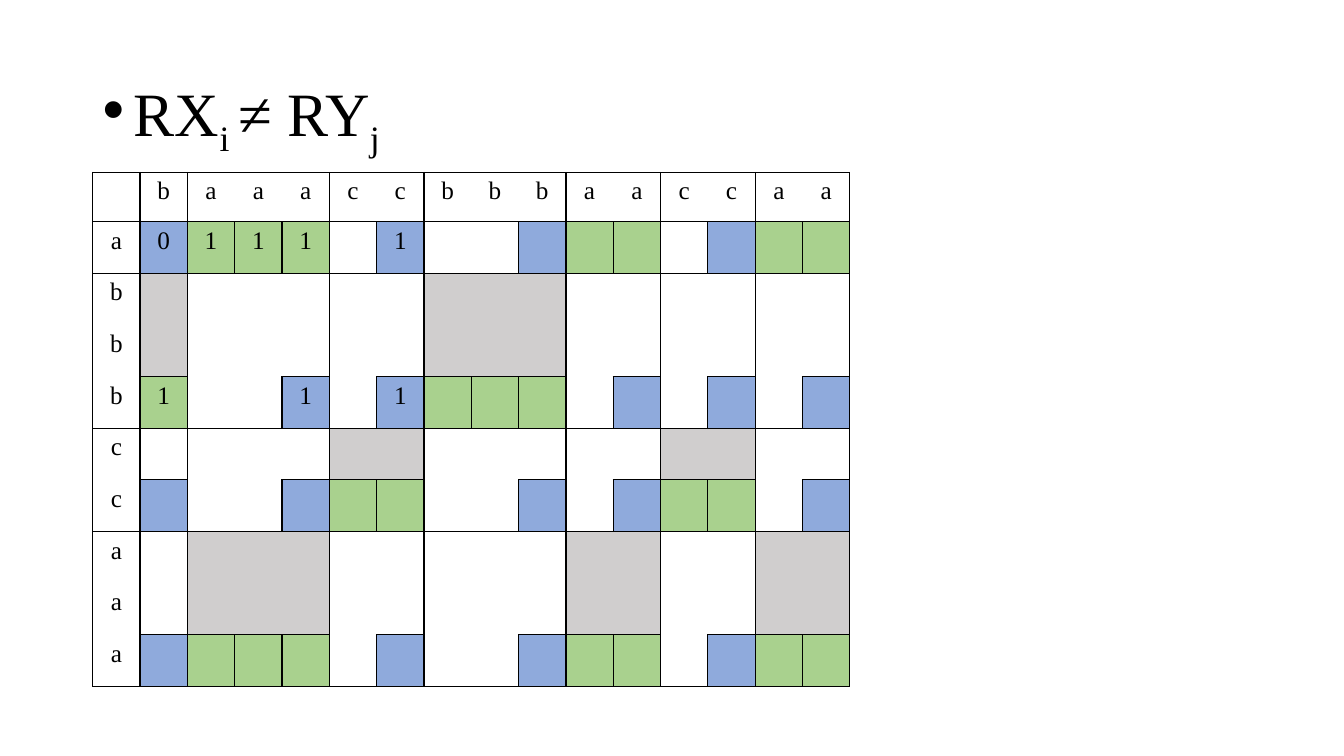
from itertools import groupby

from lxml import etree
from pptx import Presentation
from pptx.dml.color import RGBColor
from pptx.enum.text import MSO_ANCHOR, PP_ALIGN
from pptx.oxml.ns import qn
from pptx.util import Inches, Pt

MIDDLE = MSO_ANCHOR.MIDDLE
LEFT, CENTER = PP_ALIGN.LEFT, PP_ALIGN.CENTER
FONT = "Times New Roman"
COLORS = {"ink": "000000", "match": "A9D18E", "end": "8FAADC", "skip": "D0CECE"}

# The two strings, and the values known so far by (row, column)
TOP, SIDE = "baaaccbbbaaccaa", "abbbccaaa"
VALUES = {(1, 1): "0", (1, 2): "1", (1, 3): "1", (1, 4): "1", (1, 6): "1",
          (4, 1): "1", (4, 4): "1", (4, 6): "1"}


def color(name):
    return RGBColor.from_string(COLORS[name])


def write(para, text, size=18, ink="ink", align=LEFT, base=0):
    """Add one run of text to a paragraph."""
    para.alignment = align
    run = para.add_run()
    run.text = text
    run.font.name = FONT
    run.font.size = Pt(size)
    run.font.color.rgb = color(ink)
    if base:
        run._r.get_or_add_rPr().set("baseline", str(base * 1000))


def runs(text):
    """Number the run of each letter; the header counts as run 0."""
    ids = [0]
    for num, (_, group) in enumerate(groupby(text), 1):
        ids += [num for _ in group]
    return ids


class Grid:
    """Block structure of the table: fills and lines follow from the runs."""

    def __init__(self, top, side):
        self.top, self.side = top, side
        self.cols, self.rows = runs(top), runs(side)

    def kind(self, row, col):
        if not row or not col:
            return None
        low = self.rows[row] not in self.rows[row + 1:]
        last = self.cols[col] not in self.cols[col + 1:]
        if self.side[row - 1] == self.top[col - 1]:
            return "match" if low else "skip"
        return "end" if low and last else None

    def text(self, row, col):
        if row and col:
            return VALUES.get((row, col), "")
        return self.side[row - 1] if row else self.top[col - 1] if col else ""

    def lined(self, row, col, down, right):
        """Tell whether a line parts a cell from its neighbour."""
        r, c = row + down, col + right
        if not (0 <= r < len(self.rows) and 0 <= c < len(self.cols)):
            return True
        if self.rows[r] != self.rows[row] or self.cols[c] != self.cols[col]:
            return True
        return any(self.kind(*spot) in ("match", "end")
                   for spot in ((row, col), (r, c)))


class Deck:
    SIDES = {"a:lnL": (0, -1), "a:lnR": (0, 1), "a:lnT": (-1, 0), "a:lnB": (1, 0)}

    def __init__(self):
        self.prs = Presentation()
        self.prs.slide_width, self.prs.slide_height = Inches(13.33), Inches(7.5)
        self.slide = self.prs.slides.add_slide(self.prs.slide_layouts[6])

    def title(self, parts, left, top, width, height):
        box = self.slide.shapes.add_textbox(
            Inches(left), Inches(top), Inches(width), Inches(height))
        frame = box.text_frame
        frame.word_wrap = True
        frame.vertical_anchor = MIDDLE
        para = frame.paragraphs[0]
        para.line_spacing = 0.9
        props = para._p.get_or_add_pPr()
        props.set("marL", str(Inches(0.31)))
        props.set("indent", str(-Inches(0.31)))
        etree.SubElement(props, qn("a:buFont")).set("typeface", "Arial")
        etree.SubElement(props, qn("a:buChar")).set("char", "•")
        for text, base in parts:
            write(para, text, size=44, base=base)

    def border(self, cell, tag, shown):
        line = etree.SubElement(cell._tc.get_or_add_tcPr(), qn(tag))
        line.set("w", str(Pt(1)))
        if shown:
            fill = etree.SubElement(line, qn("a:solidFill"))
            etree.SubElement(fill, qn("a:srgbClr")).set("val", COLORS["ink"])
        else:
            etree.SubElement(line, qn("a:noFill"))

    def table(self, grid, left, top, width, height, head):
        rows, cols = len(grid.rows), len(grid.cols)
        table = self.slide.shapes.add_table(
            rows, cols, Inches(left), Inches(top),
            Inches(width), Inches(height)).table
        table.first_row = table.horz_banding = False
        for col in table.columns:
            col.width = Inches(width / cols)
        for row in table.rows:
            row.height = Inches((height - head) / (rows - 1))
        table.rows[0].height = Inches(head)
        for r in range(rows):
            for c in range(cols):
                self.cell(table.cell(r, c), grid, r, c)

    def cell(self, cell, grid, row, col):
        for tag, step in self.SIDES.items():
            self.border(cell, tag, grid.lined(row, col, *step))
        kind = grid.kind(row, col)
        if kind:
            cell.fill.solid()
            cell.fill.fore_color.rgb = color(kind)
        else:
            cell.fill.background()
        text = grid.text(row, col)
        if text:
            write(cell.text_frame.paragraphs[0], text, align=CENTER)


def main():
    deck = Deck()
    # Heading with subscripts
    deck.title([("RX", 0), ("i ", -25), ("≠ RY", 0), ("j", -25)],
               0.92, 0.4, 11.5, 1.45)
    # Block table
    deck.table(Grid(TOP, SIDE), 0.92, 1.71, 7.51, 5.1, head=0.49)
    deck.prs.save("out.pptx")


if __name__ == "__main__":
    main()
